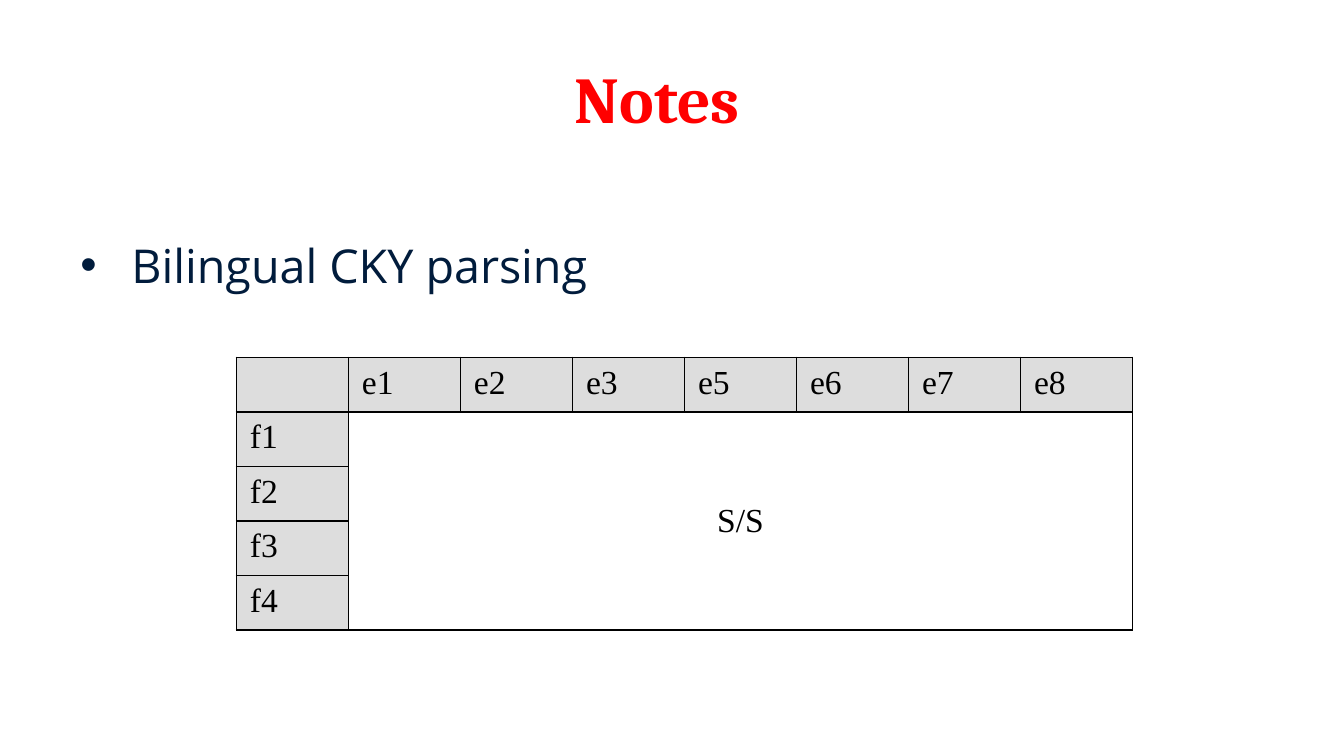
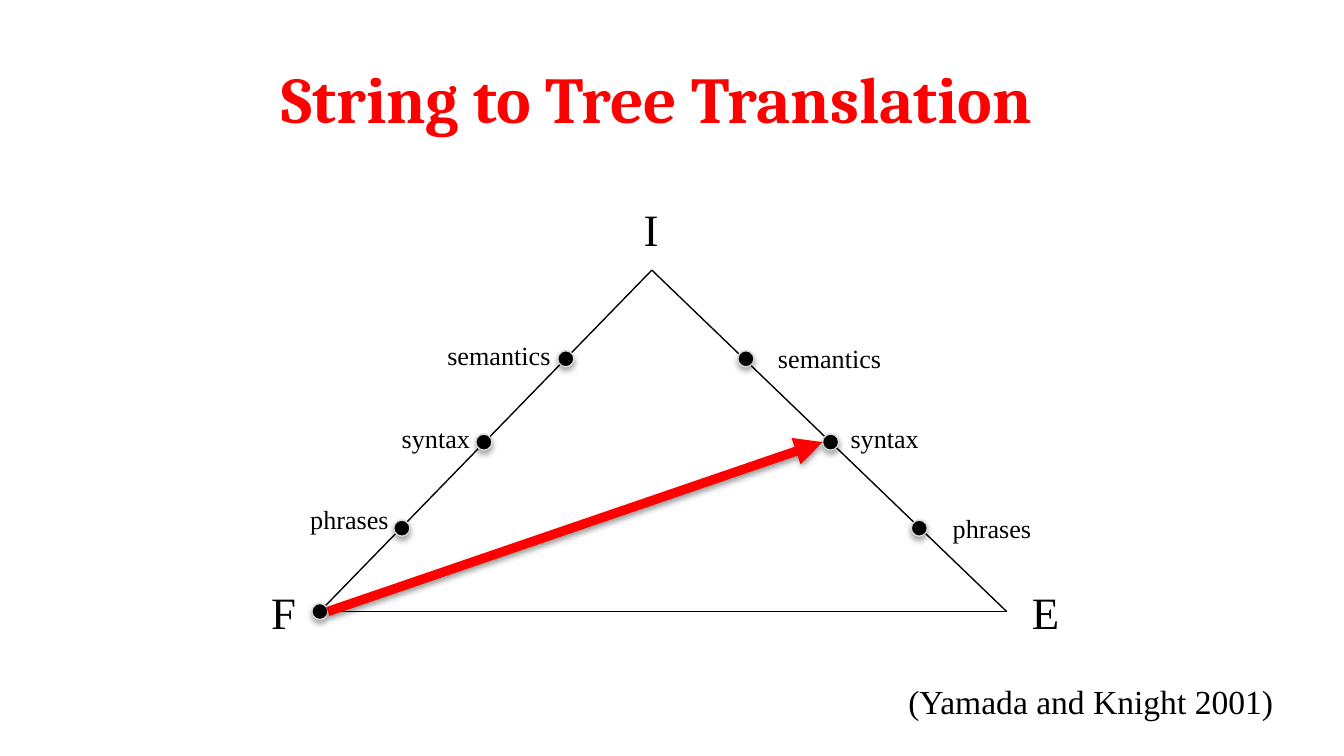
from typing import NamedTuple

from lxml import etree
from pptx import Presentation
from pptx.dml.color import RGBColor
from pptx.enum.shapes import MSO_CONNECTOR, MSO_SHAPE
from pptx.enum.text import MSO_ANCHOR, PP_ALIGN
from pptx.oxml.ns import qn
from pptx.util import Inches, Pt

RED = RGBColor(0xFF, 0x00, 0x00)
NAVY = RGBColor(0x01, 0x1C, 0x3C)
BLACK = RGBColor(0x00, 0x00, 0x00)
GREY = RGBColor(0xDD, 0xDD, 0xDD)
DOT_EDGE = RGBColor(0xD8, 0xD8, 0xD8)

TITLE_FONT, BODY_FONT, DIAGRAM_FONT = "Cambria", "Open Sans", "Times New Roman"
LEFT, CENTER = PP_ALIGN.LEFT, PP_ALIGN.CENTER
MIDDLE = MSO_ANCHOR.MIDDLE
STRAIGHT, OVAL = MSO_CONNECTOR.STRAIGHT, MSO_SHAPE.OVAL

SLIDE_WIDTH = Inches(10)
SLIDE_HEIGHT = SLIDE_WIDTH * 9 // 16
DOT_SIZE = 0.12


class Point(NamedTuple):
    x: float
    y: float


class Label(NamedTuple):
    text: str
    left: float
    top: float
    width: float
    height: float
    size: int


F_CORNER, APEX, E_CORNER = Point(2.38, 4.55), Point(4.85, 2.01), Point(7.49, 4.55)
SYNTAX_E = Point(6.18, 3.29)
DOTS = [
    F_CORNER, Point(2.99, 3.93), Point(3.6, 3.29), Point(4.21, 2.67),
    Point(5.55, 2.67), SYNTAX_E, Point(6.84, 3.93),
]
LABELS = [
    Label("F", 1.92, 4.3, 0.67, 0.5, 24),
    Label("E", 7.58, 4.3, 0.41, 0.5, 24),
    Label("I", 4.69, 1.45, 0.31, 0.5, 24),
    Label("syntax", 2.89, 3.09, 0.72, 0.34, 14),
    Label("semantics", 3.23, 2.48, 0.98, 0.34, 14),
    Label("phrases", 2.21, 3.7, 0.79, 0.34, 14),
    Label("phrases", 6.99, 3.76, 0.79, 0.34, 14),
    Label("syntax", 6.23, 3.09, 0.72, 0.34, 14),
    Label("semantics", 5.69, 2.5, 0.98, 0.34, 14),
    Label("(Yamada and Knight 2001)", 6.66, 5.02, 2.95, 0.4, 18),
]

E_WORDS = ["e1", "e2", "e3", "e5", "e6", "e7", "e8"]
F_WORDS = ["f1", "f2", "f3", "f4"]


def write(tf, text: str, *, font: str = DIAGRAM_FONT, size: int = 18,
          color: RGBColor = BLACK, bold: bool = False, align=LEFT):
    """Put formatted text in the first paragraph and return that paragraph."""
    p = tf.paragraphs[0]
    p.alignment = align
    r = p.add_run()
    r.text = text
    r.font.name, r.font.size, r.font.bold = font, Pt(size), bold
    r.font.color.rgb = color
    return p


def add_box(s, left: float, top: float, width: float, height: float,
            wrap: bool = True):
    tf = s.shapes.add_textbox(Inches(left), Inches(top),
                              Inches(width), Inches(height)).text_frame
    tf.word_wrap = wrap
    return tf


def add_titled_slide(prs, title: str):
    s = prs.slides.add_slide(prs.slide_layouts[6])
    tf = add_box(s, 0.28, 0.43, 9.22, 0.77)
    tf.margin_top = 0
    write(tf, title, font=TITLE_FONT, size=35, color=RED, bold=True, align=CENTER)
    return s


def add_bullet(p, indent: float) -> None:
    pPr = p._p.get_or_add_pPr()
    pPr.set("marL", str(Inches(indent)))
    pPr.set("indent", str(-Inches(indent)))
    etree.SubElement(pPr, qn("a:buFont"), typeface="Arial")
    etree.SubElement(pPr, qn("a:buChar"), char="•")


def add_effects(sp, dist: float = 0, alpha: int = 0) -> None:
    """Replace the theme effects by a downward shadow, or by none if alpha is 0."""
    effects = etree.SubElement(sp._element.spPr, qn("a:effectLst"))
    if alpha:
        shadow = etree.SubElement(effects, qn("a:outerShdw"), blurRad=str(Pt(3.1)),
                                  dist=str(Pt(dist)), dir="5400000", rotWithShape="0")
        color = etree.SubElement(shadow, qn("a:srgbClr"), val=str(BLACK))
        etree.SubElement(color, qn("a:alpha"), val=str(alpha * 1000))


def add_line(s, start: Point, end: Point, color: RGBColor = BLACK, width: float = 0.75):
    line = s.shapes.add_connector(STRAIGHT, Inches(start.x), Inches(start.y),
                                  Inches(end.x), Inches(end.y))
    line.line.color.rgb = color
    line.line.width = Pt(width)
    return line


def add_dot(s, center: Point) -> None:
    size = Inches(DOT_SIZE)
    sp = s.shapes.add_shape(OVAL, Inches(center.x) - size // 2,
                            Inches(center.y) - size // 2, size, size)
    sp.fill.solid()
    sp.fill.fore_color.rgb = BLACK
    sp.line.color.rgb = DOT_EDGE
    sp.line.width = Pt(0.75)
    add_effects(sp, dist=1.8, alpha=35)


def add_borders(cell) -> None:
    tcPr = cell._tc.get_or_add_tcPr()
    for side in ("lnL", "lnR", "lnT", "lnB"):
        ln = etree.SubElement(tcPr, qn(f"a:{side}"), w=str(Pt(1)))
        fill = etree.SubElement(ln, qn("a:solidFill"))
        etree.SubElement(fill, qn("a:srgbClr"), val=str(BLACK))


def add_parse_chart(s) -> None:
    rows, cols = len(F_WORDS) + 1, len(E_WORDS) + 1
    table = s.shapes.add_table(rows, cols, Inches(1.76), Inches(2.66),
                               Inches(6.67), Inches(2.03)).table
    table.first_row = table.horz_banding = False
    for i in range(rows):
        for j in range(cols):
            cell = table.cell(i, j)
            add_borders(cell)
            if i == 0 or j == 0:
                cell.fill.solid()
                cell.fill.fore_color.rgb = GREY
            else:
                cell.fill.background()
    for j, word in enumerate(E_WORDS, 1):
        write(table.cell(0, j).text_frame, word)
    for i, word in enumerate(F_WORDS, 1):
        write(table.cell(i, 0).text_frame, word)
    span = table.cell(1, 1)
    span.merge(table.cell(rows - 1, cols - 1))
    span.vertical_anchor = MIDDLE
    write(span.text_frame, "S/S", align=CENTER)


def build_notes(prs) -> None:
    s = add_titled_slide(prs, "Notes")
    p = write(add_box(s, 0.5, 1.71, 9, 2.96), "Bilingual CKY parsing",
              font=BODY_FONT, size=25, color=NAVY)
    add_bullet(p, 0.38)
    add_parse_chart(s)


def build_string_to_tree(prs) -> None:
    s = add_titled_slide(prs, "String to Tree Translation")
    for start, end in ((F_CORNER, APEX), (APEX, E_CORNER), (F_CORNER, E_CORNER)):
        add_effects(add_line(s, start, end))
    for dot in DOTS:
        add_dot(s, dot)
    for label in LABELS:
        tf = add_box(s, *label[1:5], wrap=False)
        write(tf, label.text, size=label.size)
    radius = DOT_SIZE / 2
    arrow = add_line(s, Point(F_CORNER.x + radius, F_CORNER.y),
                     Point(SYNTAX_E.x - radius, SYNTAX_E.y), RED, 5)
    etree.SubElement(arrow.line._get_or_add_ln(), qn("a:tailEnd"), type="triangle")
    add_effects(arrow, dist=1.6, alpha=38)


def main() -> None:
    prs = Presentation()
    prs.slide_width, prs.slide_height = SLIDE_WIDTH, SLIDE_HEIGHT
    build_notes(prs)
    build_string_to_tree(prs)
    prs.save("out.pptx")


if __name__ == "__main__":
    main()
